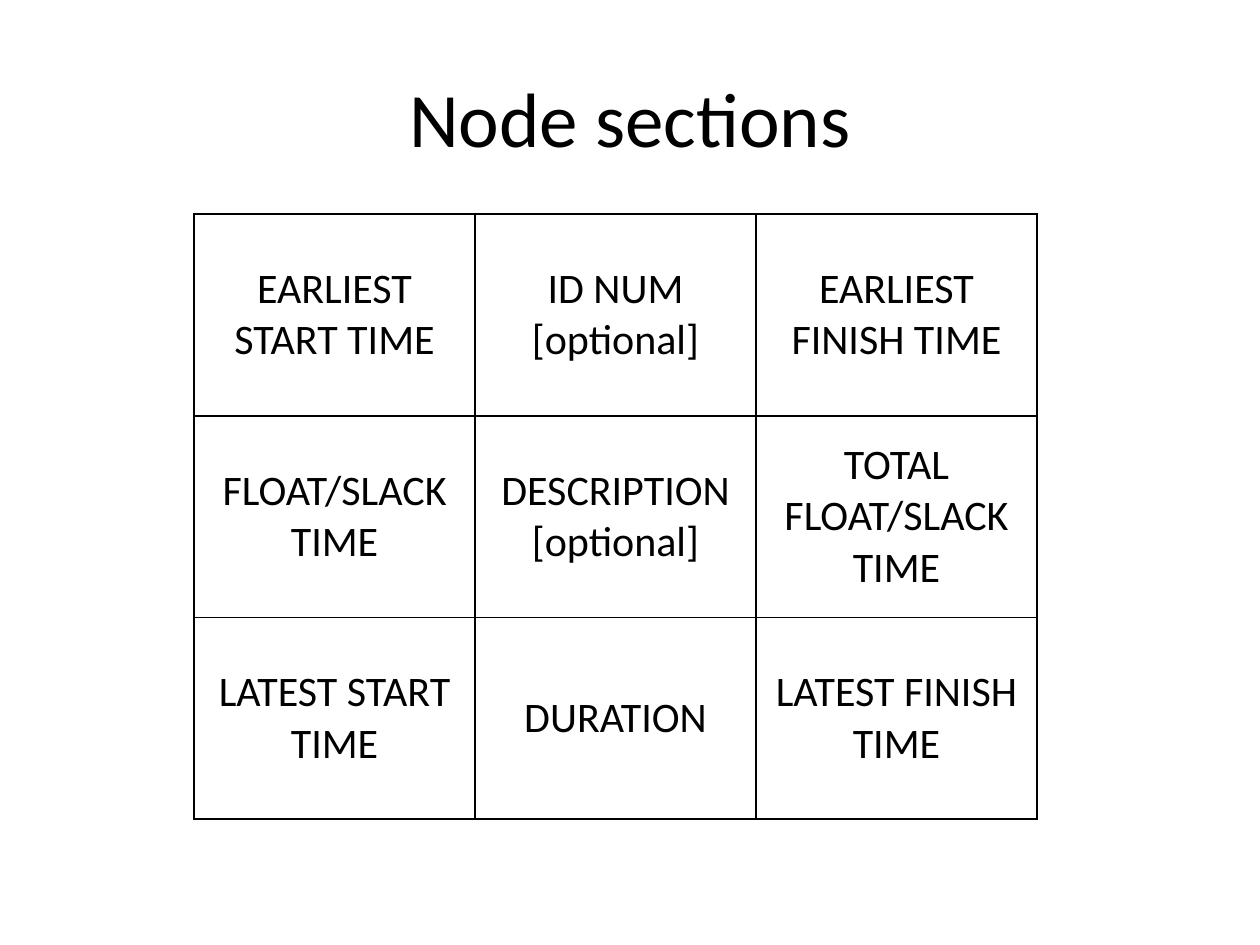
from dataclasses import dataclass

from lxml import etree
from pptx import Presentation
from pptx.dml.color import RGBColor
from pptx.enum.text import MSO_ANCHOR, PP_ALIGN
from pptx.oxml.ns import qn
from pptx.util import Inches, Pt

CENTER = PP_ALIGN.CENTER
MIDDLE = MSO_ANCHOR.MIDDLE
BLACK = RGBColor(0, 0, 0)
WHITE = RGBColor(255, 255, 255)
FONT = "Calibri"
COLUMNS = ROWS = 3
COLUMN_WIDTH = Inches(2.23)
ROW_HEIGHT = Inches(1.6)


@dataclass(frozen=True)
class Section:
    row: int
    column: int
    label: str


SECTIONS = [
    Section(0, 0, "EARLIEST START TIME"),
    Section(0, 1, "ID NUM\n[optional]"),
    Section(0, 2, "EARLIEST FINISH TIME"),
    Section(1, 0, "FLOAT/SLACK TIME"),
    Section(1, 1, "DESCRIPTION\n[optional]"),
    Section(1, 2, "TOTAL FLOAT/SLACK TIME"),
    Section(2, 0, "LATEST START TIME"),
    Section(2, 1, "DURATION"),
    Section(2, 2, "LATEST FINISH TIME"),
]


def write_centered(frame, text: str, size: int) -> None:
    frame.text = text
    frame.word_wrap = True
    for paragraph in frame.paragraphs:
        paragraph.alignment = CENTER
        paragraph.font.name = FONT
        paragraph.font.size = Pt(size)
        paragraph.font.color.rgb = BLACK


def add_borders(cell) -> None:
    properties = cell._tc.get_or_add_tcPr()
    for side in ("lnL", "lnR", "lnT", "lnB"):
        line = etree.SubElement(properties, qn(f"a:{side}"), w=str(Pt(1)))
        fill = etree.SubElement(line, qn("a:solidFill"))
        etree.SubElement(fill, qn("a:srgbClr"), val=str(BLACK))


def draw_section(table, section: Section) -> None:
    cell = table.cell(section.row, section.column)
    write_centered(cell.text_frame, section.label, 24)
    cell.vertical_anchor = MIDDLE
    add_borders(cell)
    cell.fill.solid()
    cell.fill.fore_color.rgb = WHITE


presentation = Presentation()
presentation.slide_width = Inches(10)
presentation.slide_height = Inches(7.5)
slide = presentation.slides.add_slide(presentation.slide_layouts[6])

heading = slide.shapes.add_textbox(
    Inches(0.5), Inches(0.3), Inches(9), Inches(1.25)
).text_frame
write_centered(heading, "Node sections", 44)
heading.vertical_anchor = MIDDLE

node = slide.shapes.add_table(
    ROWS, COLUMNS, Inches(1.54), Inches(1.7),
    COLUMN_WIDTH * COLUMNS, ROW_HEIGHT * ROWS,
).table
node.first_row = False
node.horz_banding = False
for section in SECTIONS:
    draw_section(node, section)

presentation.save("out.pptx")
